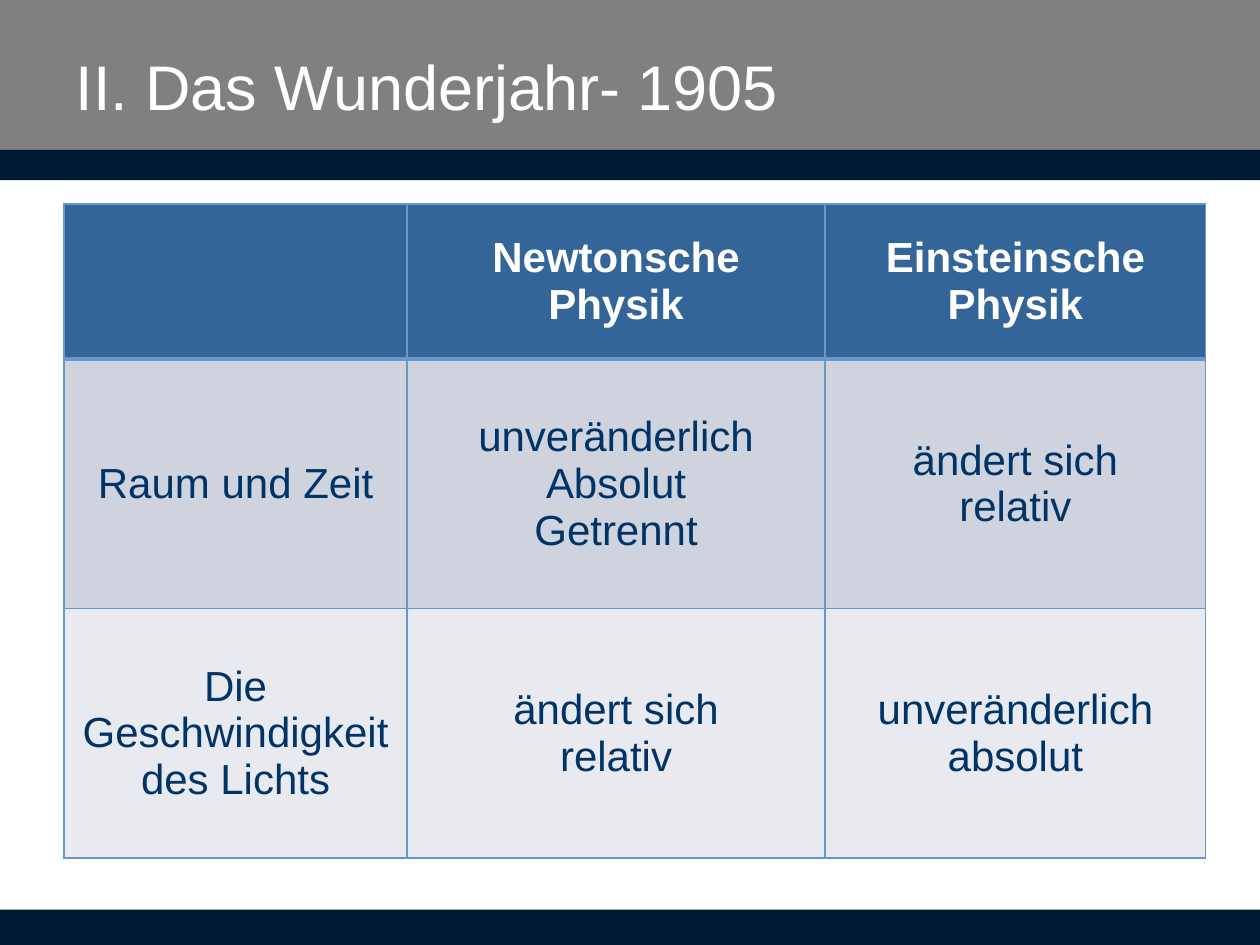
from lxml import etree
from pptx import Presentation
from pptx.dml.color import RGBColor
from pptx.enum.shapes import MSO_SHAPE
from pptx.enum.text import MSO_ANCHOR, PP_ALIGN
from pptx.oxml.ns import qn
from pptx.util import Inches, Pt

FONT = "Arial"
COLORS = {
    "banner": "808080", "navy": "001933", "white": "FFFFFF", "text": "003366",
    "header": "336599", "border": "6698CC", "row_dark": "CED3DE", "row_light": "E8EAEF",
}
COLUMN_WIDTHS = [2.72, 3.32, 3.02]
ROW_HEIGHTS = [1.23, 1.98, 1.98]
ROW_FILLS = ["header", "row_dark", "row_light"]
ROWS = [
    ["", "Newtonsche Physik", "Einsteinsche Physik"],
    ["Raum und Zeit", "unveränderlich\nAbsolut\nGetrennt", "ändert sich\nrelativ"],
    ["Die Geschwindigkeit des Lichts", "ändert sich\nrelativ", "unveränderlich\nabsolut"],
]


def rgb(name):
    return RGBColor.from_string(COLORS[name])


def style_text(frame, size, color, align, bold=False):
    for paragraph in frame.paragraphs:
        paragraph.alignment = align
        font = paragraph.font
        font.name, font.size, font.bold = FONT, Pt(size), bold
        font.color.rgb = rgb(color)
        for run in paragraph.runs:
            run.font.name, run.font.size, run.font.bold = FONT, Pt(size), bold
            run.font.color.rgb = rgb(color)


def add_bar(slide, top, height, color):
    bar = slide.shapes.add_shape(
        MSO_SHAPE.RECTANGLE, 0, Inches(top), Inches(10), Inches(height))
    bar.shadow.inherit = False
    bar.fill.solid()
    bar.fill.fore_color.rgb = rgb(color)
    bar.line.fill.background()


def set_title(slide, text):
    title = slide.shapes.title
    title.left, title.top = Inches(0.5), Inches(0.28)
    title.width, title.height = Inches(9.07), Inches(0.79)
    frame = title.text_frame
    frame.text = text
    frame.vertical_anchor = MSO_ANCHOR.MIDDLE
    style_text(frame, 36, "white", PP_ALIGN.LEFT)
    # Bring the title in front of the banner
    slide.shapes._spTree.append(title._element)


def set_borders(cell, widths):
    properties = cell._tc.get_or_add_tcPr()
    for index, (side, width) in enumerate(widths.items()):
        line = etree.Element(qn(f"a:ln{side}"), w=str(Pt(width)))
        fill = etree.SubElement(line, qn("a:solidFill"))
        etree.SubElement(fill, qn("a:srgbClr"), val=COLORS["border"])
        properties.insert(index, line)


def fill_cell(cell, text, row):
    is_header = row == 0
    cell.text = text
    cell.vertical_anchor = MSO_ANCHOR.MIDDLE
    cell.fill.solid()
    cell.fill.fore_color.rgb = rgb(ROW_FILLS[row])
    style_text(cell.text_frame, 24, "white" if is_header else "text",
               PP_ALIGN.CENTER, is_header)
    set_borders(cell, {"L": 1, "R": 1, "T": 3 if row == 1 else 1,
                       "B": 3 if is_header else 1})


def add_comparison_table(slide):
    table = slide.shapes.add_table(
        len(ROWS), len(COLUMN_WIDTHS), Inches(0.51), Inches(1.62),
        Inches(sum(COLUMN_WIDTHS)), Inches(sum(ROW_HEIGHTS))).table
    for column, width in zip(table.columns, COLUMN_WIDTHS):
        column.width = Inches(width)
    for row, height in zip(table.rows, ROW_HEIGHTS):
        row.height = Inches(height)
    for r, texts in enumerate(ROWS):
        for c, text in enumerate(texts):
            fill_cell(table.cell(r, c), text, r)


def main():
    prs = Presentation()
    prs.slide_width, prs.slide_height = Inches(10), Inches(7.5)
    slide = prs.slides.add_slide(prs.slide_layouts[5])

    # Banner and footer bars
    add_bar(slide, 0, 1.31, "banner")
    add_bar(slide, 1.19, 0.24, "navy")
    add_bar(slide, 7.22, 0.28, "navy")

    # Content
    set_title(slide, "II. Das Wunderjahr- 1905")
    add_comparison_table(slide)
    prs.save("out.pptx")


main()
